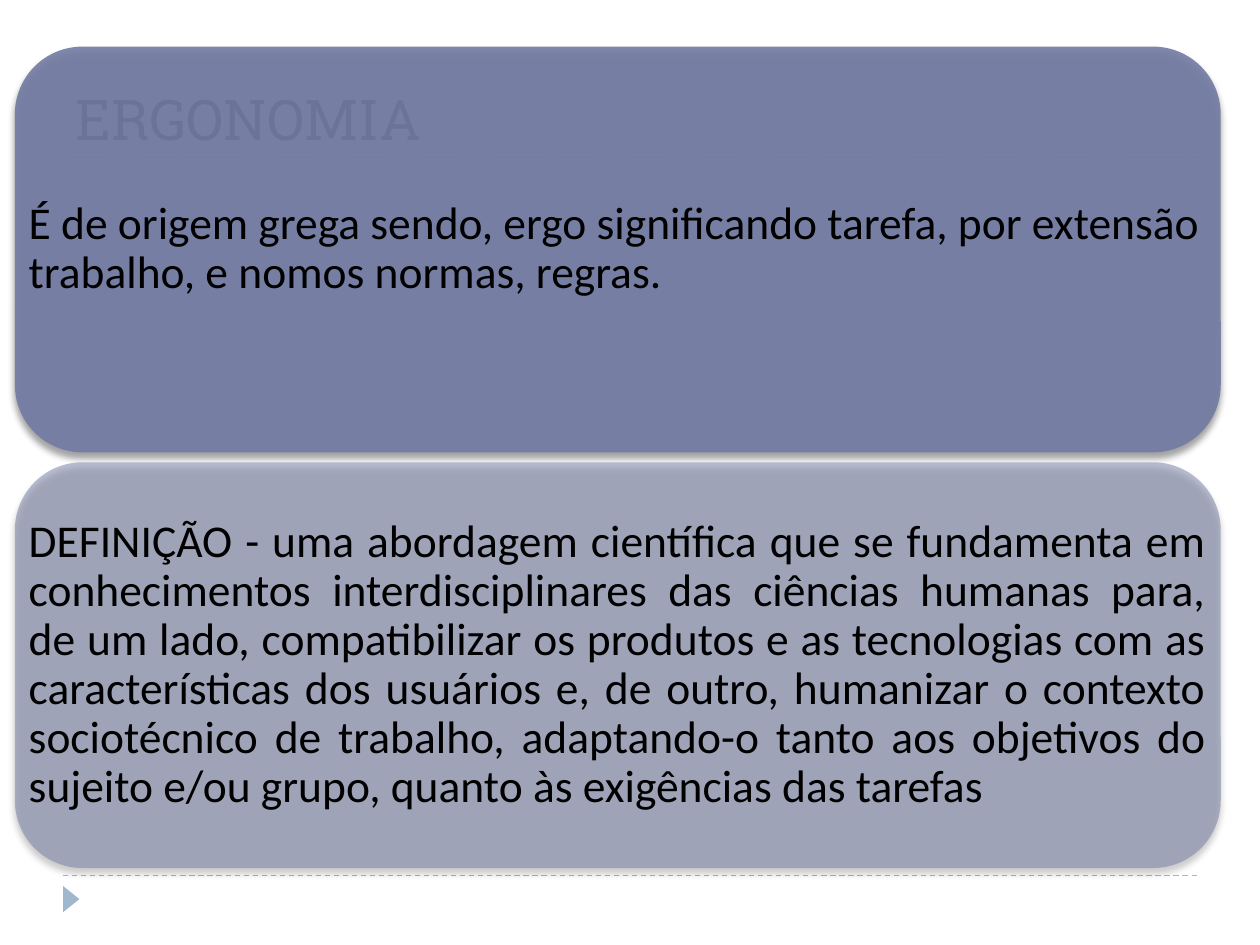
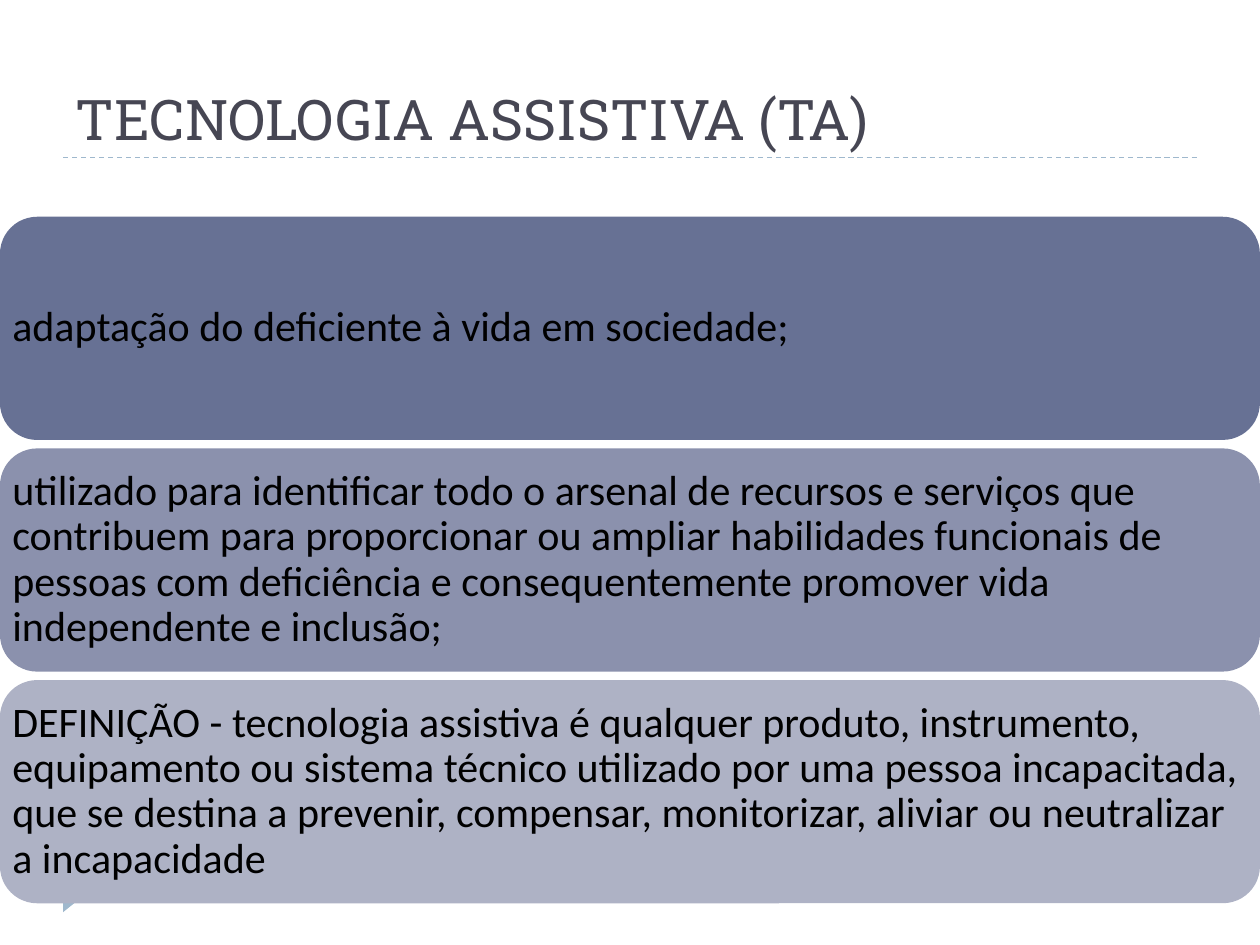
from lxml.etree import SubElement
from pptx import Presentation
from pptx.dml.color import RGBColor
from pptx.enum.dml import MSO_LINE
from pptx.enum.shapes import MSO_CONNECTOR, MSO_SHAPE
from pptx.enum.text import MSO_ANCHOR, MSO_AUTO_SIZE, PP_ALIGN
from pptx.oxml.ns import qn
from pptx.util import Cm, Pt

# Content: each panel is (text, fill, opacity in %, alignment)
SLIDES = [
    dict(
        title="ERGONOMIA", rules=[3.18, 17.65], size=26, inset=0.28, shadow=True,
        left=0.3, top=0.94, width=24.31, height=8.18, step=8.38,
        panels=[
            ("É de origem grega sendo, ergo significando tarefa, por extensão "
             "trabalho, e nomos normas, regras.", "727CA3", 90, PP_ALIGN.LEFT),
            ("DEFINIÇÃO - uma abordagem científica que se fundamenta em "
             "conhecimentos interdisciplinares das ciências humanas para, de um "
             "lado, compatibilizar os produtos e as tecnologias com as "
             "características dos usuários e, de outro, humanizar o contexto "
             "sociotécnico de trabalho, adaptando-o tanto aos objetivos do "
             "sujeito e/ou grupo, quanto às exigências das tarefas",
             "727CA3", 50, PP_ALIGN.JUSTIFY),
        ]),
    dict(
        title="TECNOLOGIA ASSISTIVA (TA)", rules=[3.18], size=24, inset=0.25, shadow=False,
        left=0, top=4.37, width=25.4, height=4.5, step=4.67,
        panels=[
            ("adaptação do deficiente à vida em sociedade;",
             "677194", 100, PP_ALIGN.LEFT),
            ("utilizado para identificar todo o arsenal de recursos e serviços "
             "que contribuem para proporcionar ou ampliar habilidades funcionais "
             "de pessoas com deficiência e consequentemente promover vida "
             "independente e inclusão;", "8B91AD", 100, PP_ALIGN.LEFT),
            ("DEFINIÇÃO - tecnologia assistiva é qualquer produto, instrumento, "
             "equipamento ou sistema técnico utilizado por uma pessoa "
             "incapacitada, que se destina a prevenir, compensar, monitorizar, "
             "aliviar ou neutralizar a incapacidade",
             "AEB2C5", 100, PP_ALIGN.LEFT),
        ]),
]

# Shared look
ACCENT, TITLE_COLOR, TEXT_COLOR = "9FB8CD", "464653", "000000"
TITLE_FONT, BODY_FONT = "Roboto Slab", "Calibri"
MARGIN, RULE_WIDTH = 1.27, 22.86


def rgb(color):
    return RGBColor.from_string(color)


def style_text(p, font, size, color):
    for r in p.runs:
        r.font.name, r.font.size = font, Pt(size)
        r.font.color.rgb = rgb(color)


def set_alpha(color_el, percent):
    SubElement(color_el, qn("a:alpha"), val=str(percent * 1000))


def add_filled(slide, shape, box, color):
    sp = slide.shapes.add_shape(shape, *map(Cm, box))
    sp.shadow.inherit = False
    sp.fill.solid()
    sp.fill.fore_color.rgb = rgb(color)
    sp.line.fill.background()
    return sp


def add_shadow(sp):
    effects = sp._element.spPr.find(qn("a:effectLst"))
    shadow = SubElement(effects, qn("a:outerShdw"), blurRad=str(Pt(4)),
                        dist=str(Pt(3.4)), dir="5400000", rotWithShape="0")
    set_alpha(SubElement(shadow, qn("a:srgbClr"), val="000000"), 40)


def add_rule(slide, y):
    line = slide.shapes.add_connector(MSO_CONNECTOR.STRAIGHT, Cm(MARGIN), Cm(y),
                                      Cm(MARGIN + RULE_WIDTH), Cm(y))
    line.line.color.rgb = rgb(ACCENT)
    line.line.width = Pt(0.75)
    line.line.dash_style = MSO_LINE.DASH
    SubElement(line._element.spPr, qn("a:effectLst"))


def add_frame(slide, title, rules):
    """Title, dashed rules and the footer arrow."""
    sp = slide.shapes.title
    sp.left, sp.top, sp.width, sp.height = map(Cm, (MARGIN, 0.43, RULE_WIDTH, 2.75))
    tf = sp.text_frame
    tf.text = title
    tf.auto_size = MSO_AUTO_SIZE.NONE
    tf.vertical_anchor = MSO_ANCHOR.BOTTOM
    p = tf.paragraphs[0]
    p.alignment = PP_ALIGN.LEFT
    style_text(p, TITLE_FONT, 32, TITLE_COLOR)
    for y in rules:
        add_rule(slide, y)
    arrow = add_filled(slide, MSO_SHAPE.ISOSCELES_TRIANGLE, (1.17, 17.96, 0.53, 0.33), ACCENT)
    arrow.rotation = 90


def add_panel(slide, box, panel, size, inset, shadow):
    text, color, opacity, align = panel
    sp = add_filled(slide, MSO_SHAPE.ROUNDED_RECTANGLE, box, color)
    if opacity < 100:
        set_alpha(sp._element.spPr.find(qn("a:solidFill"))[0], opacity)
    if shadow:
        add_shadow(sp)
    # Text spans the full panel, unaffected by the rounded corners
    tf = slide.shapes.add_textbox(*map(Cm, box)).text_frame
    tf.word_wrap = True
    tf.vertical_anchor = MSO_ANCHOR.MIDDLE
    tf.margin_left = tf.margin_right = tf.margin_top = tf.margin_bottom = Cm(inset)
    p = tf.paragraphs[0]
    p.text = text
    p.alignment, p.line_spacing = align, 0.9
    style_text(p, BODY_FONT, size, TEXT_COLOR)


def main():
    prs = Presentation()
    prs.slide_width, prs.slide_height = Cm(25.4), Cm(19.05)
    for data in SLIDES:
        slide = prs.slides.add_slide(prs.slide_layouts[5])
        add_frame(slide, data["title"], data["rules"])
        for i, panel in enumerate(data["panels"]):
            box = (data["left"], data["top"] + i * data["step"], data["width"], data["height"])
            add_panel(slide, box, panel, data["size"], data["inset"], data["shadow"])
    prs.save("out.pptx")


if __name__ == "__main__":
    main()
